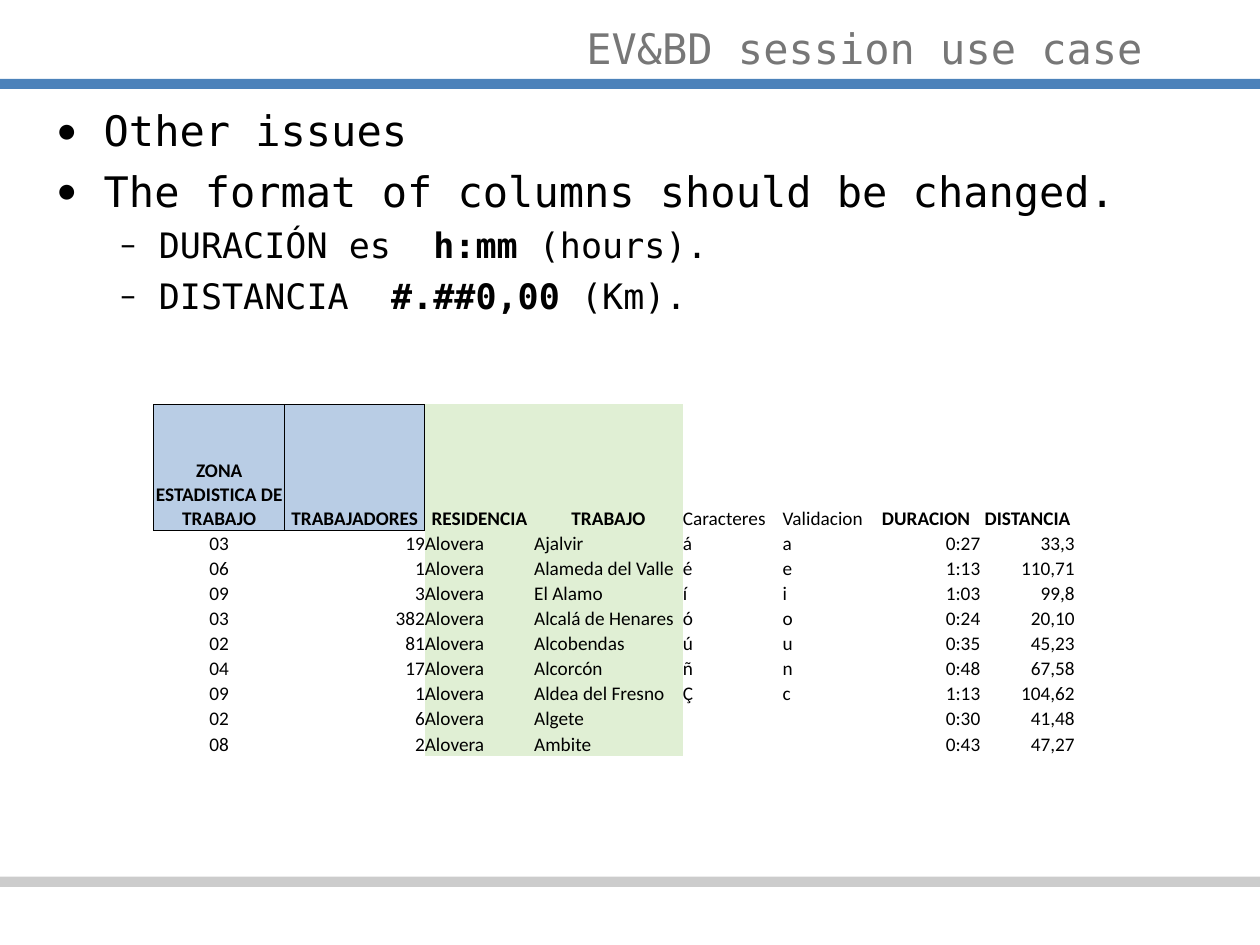
"""Builds the EV&BD use case slide about column formats."""
from dataclasses import dataclass

from lxml import etree
from pptx import Presentation
from pptx.dml.color import RGBColor
from pptx.enum.shapes import MSO_SHAPE
from pptx.enum.text import MSO_ANCHOR, PP_ALIGN
from pptx.oxml.ns import qn
from pptx.util import Pt

RECTANGLE = MSO_SHAPE.RECTANGLE
MIDDLE, BOTTOM = MSO_ANCHOR.MIDDLE, MSO_ANCHOR.BOTTOM
LEFT, CENTER, RIGHT = PP_ALIGN.LEFT, PP_ALIGN.CENTER, PP_ALIGN.RIGHT
PLAIN_TABLE_STYLE = "{2D5ABB26-0587-4C30-8999-92F81FD0307C}"


@dataclass(frozen=True)
class Theme:
    heading_font: str = "DejaVu Sans Mono"
    table_font: str = "Calibri"
    title_size: float = 24
    bullet_sizes: tuple = (24, 20)
    table_size: float = 11
    title: str = "777777"
    ink: str = "000000"
    top_bar: str = "4C82BA"
    bottom_bar: str = "CCCCCC"
    key_fill: str = "B9CDE5"
    place_fill: str = "E0EFD4"


@dataclass(frozen=True)
class Column:
    heading: str
    width: float
    align: PP_ALIGN
    heading_align: PP_ALIGN = CENTER
    heading_bold: bool = True
    heading_fill: str = None
    fill: str = None
    boxed: bool = False


class SlideBuilder:
    def __init__(self, slide, theme):
        self.slide = slide
        self.theme = theme

    def format_run(self, run, font, size, color, bold=False):
        run.font.name = font
        run.font.size = Pt(size)
        run.font.bold = bold
        run.font.color.rgb = RGBColor.from_string(color)

    def bar(self, top, color):
        shape = self.slide.shapes.add_shape(RECTANGLE, 0, Pt(top), Pt(720), Pt(5.8))
        shape.shadow.inherit = False
        shape.fill.solid()
        shape.fill.fore_color.rgb = RGBColor.from_string(color)
        shape.line.fill.background()

    def text_frame(self, left, top, width, height):
        shape = self.slide.shapes.add_textbox(Pt(left), Pt(top), Pt(width), Pt(height))
        shape.text_frame.word_wrap = True
        return shape.text_frame

    def title(self, text, left, top, width, height):
        frame = self.text_frame(left, top, width, height)
        frame.text = text
        frame.vertical_anchor = MIDDLE
        paragraph = frame.paragraphs[0]
        paragraph.alignment = RIGHT
        theme = self.theme
        self.format_run(paragraph.runs[0], theme.heading_font, theme.title_size, theme.title)

    def bullets(self, items, left, top, width, height):
        frame = self.text_frame(left, top, width, height)
        frame.margin_top = Pt(6)
        theme = self.theme
        for index, (level, pieces) in enumerate(items):
            paragraph = frame.add_paragraph() if index else frame.paragraphs[0]
            size = theme.bullet_sizes[level]
            paragraph.level = level
            if index:
                paragraph.space_before = Pt(round(size * 0.235, 1))
            margin, hanging, mark = ((27, 27, "•"), (58.5, 22.5, "–"))[level]
            properties = paragraph._p.get_or_add_pPr()
            properties.set("marL", str(Pt(margin)))
            properties.set("indent", str(-Pt(hanging)))
            etree.SubElement(properties, qn("a:buFont"), typeface=theme.table_font)
            etree.SubElement(properties, qn("a:buChar"), char=mark)
            for position, text in enumerate(pieces):
                run = paragraph.add_run()
                run.text = text
                self.format_run(run, theme.heading_font, size, theme.ink, bold=position == 1)

    def cell_border(self, cell):
        properties = cell._tc.get_or_add_tcPr()
        for side in ("lnL", "lnR", "lnT", "lnB"):
            line = etree.SubElement(properties, qn(f"a:{side}"), w=str(Pt(0.5)))
            fill = etree.SubElement(line, qn("a:solidFill"))
            etree.SubElement(fill, qn("a:srgbClr"), val=self.theme.ink)

    def cell(self, cell, text, align, fill, bold=False, boxed=False):
        theme = self.theme
        cell.text = text
        cell.margin_left = cell.margin_right = cell.margin_top = cell.margin_bottom = 0
        cell.vertical_anchor = BOTTOM
        if boxed:
            self.cell_border(cell)
        if fill:
            cell.fill.solid()
            cell.fill.fore_color.rgb = RGBColor.from_string(fill)
        else:
            cell.fill.background()
        paragraph = cell.text_frame.paragraphs[0]
        paragraph.alignment = align
        for run in paragraph.runs:
            self.format_run(run, theme.table_font, theme.table_size, theme.ink, bold)
        if not text:
            etree.SubElement(paragraph._p, qn("a:endParaRPr"), sz=str(theme.table_size * 100))

    def table(self, columns, records, left, top, heading_height, row_height):
        width = sum(column.width for column in columns)
        height = heading_height + row_height * len(records)
        frame = self.slide.shapes.add_table(
            len(records) + 1, len(columns), Pt(left), Pt(top), Pt(width), Pt(height))
        table = frame.table
        table.first_row = table.horz_banding = False
        next(frame._element.iter(qn("a:tableStyleId"))).text = PLAIN_TABLE_STYLE
        for index, row in enumerate(table.rows):
            row.height = Pt(row_height if index else heading_height)
        for index, column in enumerate(columns):
            table.columns[index].width = Pt(column.width)
            self.cell(table.cell(0, index), column.heading, column.heading_align,
                      column.heading_fill, column.heading_bold, column.boxed)
            for number, record in enumerate(records, 1):
                self.cell(table.cell(number, index), record[index], column.align, column.fill)


def main():
    presentation = Presentation()
    presentation.slide_width, presentation.slide_height = Pt(720), Pt(540)
    theme = Theme()
    builder = SlideBuilder(presentation.slides.add_slide(presentation.slide_layouts[6]), theme)

    builder.bar(45, theme.top_bar)
    builder.bar(501, theme.bottom_bar)
    builder.title("EV&BD session use case", 48, 0, 612, 54)
    builder.bullets([
        (0, ["Other issues"]),
        (0, ["The format of columns should be changed."]),
        (1, ["DURACIÓN es  ", "h:mm ", "(hours)."]),
        (1, ["DISTANCIA  ", "#.##0,00 ", "(Km)."]),
    ], 25.2, 54, 623.5, 324)

    key = {"heading_fill": theme.key_fill, "boxed": True}
    place = {"heading_fill": theme.place_fill, "fill": theme.place_fill}
    check = {"heading_align": LEFT, "heading_bold": False}
    columns = [
        Column("ZONA ESTADISTICA DE TRABAJO", 75, CENTER, **key),
        Column("TRABAJADORES", 80, RIGHT, **key),
        Column("RESIDENCIA", 62.5, LEFT, **place),
        Column("TRABAJO", 85, LEFT, **place),
        Column("Caracteres", 57, LEFT, **check),
        Column("Validacion", 51, LEFT, **check),
        Column("DURACION", 62, RIGHT),
        Column("DISTANCIA", 54, RIGHT),
    ]
    residence = "Alovera"
    records = [
        ("03", "19", residence, "Ajalvir", "á", "a", "0:27", "33,3"),
        ("06", "1", residence, "Alameda del Valle", "é", "e", "1:13", "110,71"),
        ("09", "3", residence, "El Alamo", "í", "i", "1:03", "99,8"),
        ("03", "382", residence, "Alcalá de Henares", "ó", "o", "0:24", "20,10"),
        ("02", "81", residence, "Alcobendas", "ú", "u", "0:35", "45,23"),
        ("04", "17", residence, "Alcorcón", "ñ", "n", "0:48", "67,58"),
        ("09", "1", residence, "Aldea del Fresno", "Ç", "c", "1:13", "104,62"),
        ("02", "6", residence, "Algete", "", "", "0:30", "41,48"),
        ("08", "2", residence, "Ambite", "", "", "0:43", "47,27"),
    ]
    builder.table(columns, records, 87.8, 231.1, 72, 14.35)
    presentation.save("out.pptx")


if __name__ == "__main__":
    main()
